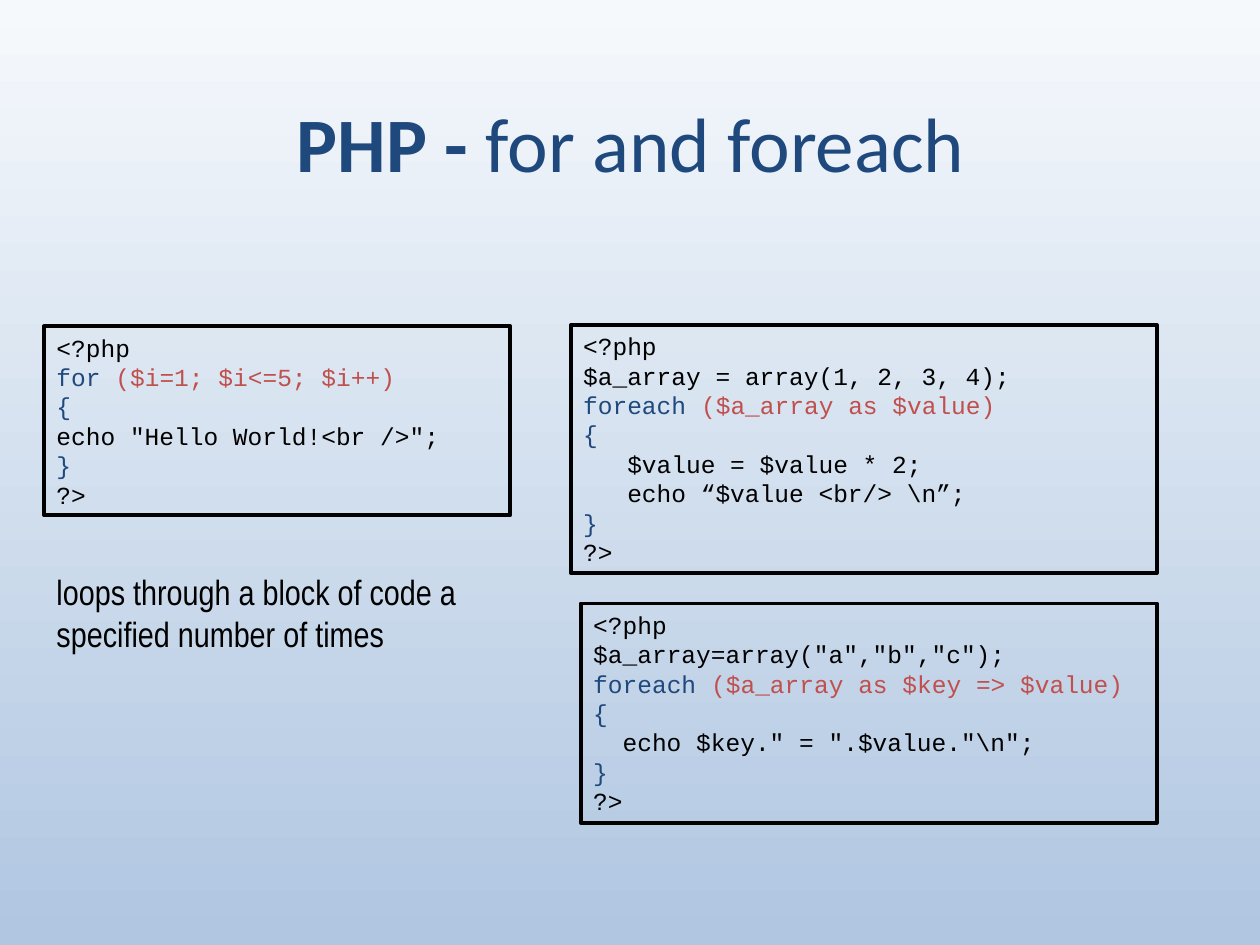
from dataclasses import dataclass

from pptx import Presentation
from pptx.dml.color import RGBColor
from pptx.enum.shapes import MSO_SHAPE
from pptx.enum.text import MSO_ANCHOR, PP_ALIGN
from pptx.util import Inches, Pt

RECTANGLE = MSO_SHAPE.RECTANGLE
TOP, MIDDLE = MSO_ANCHOR.TOP, MSO_ANCHOR.MIDDLE
LEFT, CENTER = PP_ALIGN.LEFT, PP_ALIGN.CENTER
TITLE_ONLY = 5


@dataclass(frozen=True)
class Theme:
    ink: RGBColor = RGBColor.from_string("000000")
    keyword: RGBColor = RGBColor.from_string("1F497D")
    expression: RGBColor = RGBColor.from_string("C0504D")
    sky_top: RGBColor = RGBColor.from_string("F6F9FC")
    sky_bottom: RGBColor = RGBColor.from_string("B0C6E1")
    title_font: str = "Calibri"
    code_font: str = "Courier New"
    note_font: str = "Arial Narrow"
    title_size: int = 44
    code_size: int = 14
    note_size: int = 20
    border: float = 2.25
    code_character: float = 8.4


class SlideBuilder:
    def __init__(self, slide, theme):
        self.slide = slide
        self.theme = theme

    def background(self):
        fill = self.slide.background.fill
        fill.gradient()
        fill.gradient_angle = 270
        colors = (self.theme.sky_top, self.theme.sky_bottom)
        for stop, color in zip(fill.gradient_stops, colors):
            stop.color.rgb = color

    def style(self, paragraph, font_name, size, color, alignment=LEFT):
        paragraph.alignment = alignment
        paragraph.font.name = font_name
        paragraph.font.size = Pt(size)
        paragraph.font.color.rgb = color

    def title(self, box, strong, plain):
        theme = self.theme
        shape = self.slide.shapes.title
        shape.left, shape.top, shape.width, shape.height = map(Inches, box)
        shape.text_frame.vertical_anchor = MIDDLE
        paragraph = shape.text_frame.paragraphs[0]
        self.style(paragraph, theme.title_font, theme.title_size, theme.keyword, CENTER)
        for text, bold in ((strong, True), (plain, False)):
            run = paragraph.add_run()
            run.text = text
            run.font.bold = bold

    def note(self, box, text):
        theme = self.theme
        frame = self.slide.shapes.add_textbox(*map(Inches, box)).text_frame
        frame.word_wrap = True
        paragraph = frame.paragraphs[0]
        paragraph.text = text
        self.style(paragraph, theme.note_font, theme.note_size, theme.ink)

    def code(self, box, lines):
        theme = self.theme
        shape = self.slide.shapes.add_shape(RECTANGLE, *map(Inches, box))
        shape.shadow.inherit = False
        shape.fill.background()
        shape.line.color.rgb = theme.ink
        shape.line.width = Pt(theme.border)
        frame = shape.text_frame
        frame.word_wrap = True
        frame.vertical_anchor = TOP
        for number, (depth, *parts) in enumerate(lines):
            paragraph = frame.add_paragraph() if number else frame.paragraphs[0]
            self.style(paragraph, theme.code_font, theme.code_size, theme.ink)
            if depth:
                indent = Pt(depth * theme.code_character)
                paragraph._p.get_or_add_pPr().set("marL", str(indent))
            for text, color in parts:
                run = paragraph.add_run()
                run.text = text
                run.font.color.rgb = color


def php_loop(theme, setup, keyword, expression, body, depth):
    def line(text, color=theme.ink, indent=0):
        return indent, (text, color)

    return [
        line("<?php"),
        *(line(text) for text in setup),
        (0, (keyword + " ", theme.keyword), (expression, theme.expression)),
        line("{", theme.keyword),
        *(line(text, indent=depth) for text in body),
        line("}", theme.keyword),
        line("?>"),
    ]


def main():
    presentation = Presentation()
    presentation.slide_width = Inches(10)
    presentation.slide_height = Inches(7.5)
    slide = presentation.slides.add_slide(presentation.slide_layouts[TITLE_ONLY])
    theme = Theme()
    builder = SlideBuilder(slide, theme)

    builder.background()
    builder.title((0.69, 0.4, 8.63, 1.45), "PHP - ", "for and foreach")
    builder.code(
        (0.35, 2.59, 3.7, 1.5),
        php_loop(theme, [], "for", "($i=1; $i<=5; $i++)",
                 ['echo "Hello World!<br />";'], 0),
    )
    builder.note(
        (0.35, 4.48, 3.7, 1.44),
        "loops through a block of code a specified number of times",
    )
    builder.code(
        (4.53, 2.58, 4.65, 1.97),
        php_loop(theme, ["$a_array = array(1, 2, 3, 4);"],
                 "foreach", "($a_array as $value)",
                 ["$value = $value * 2;", r"echo “$value <br/> \n”;"], 3),
    )
    builder.code(
        (4.61, 4.79, 4.57, 1.74),
        php_loop(theme, ['$a_array=array("a","b","c");'],
                 "foreach", "($a_array as $key => $value)",
                 [r'echo $key." = ".$value."\n";'], 2),
    )
    presentation.save("out.pptx")


if __name__ == "__main__":
    main()
